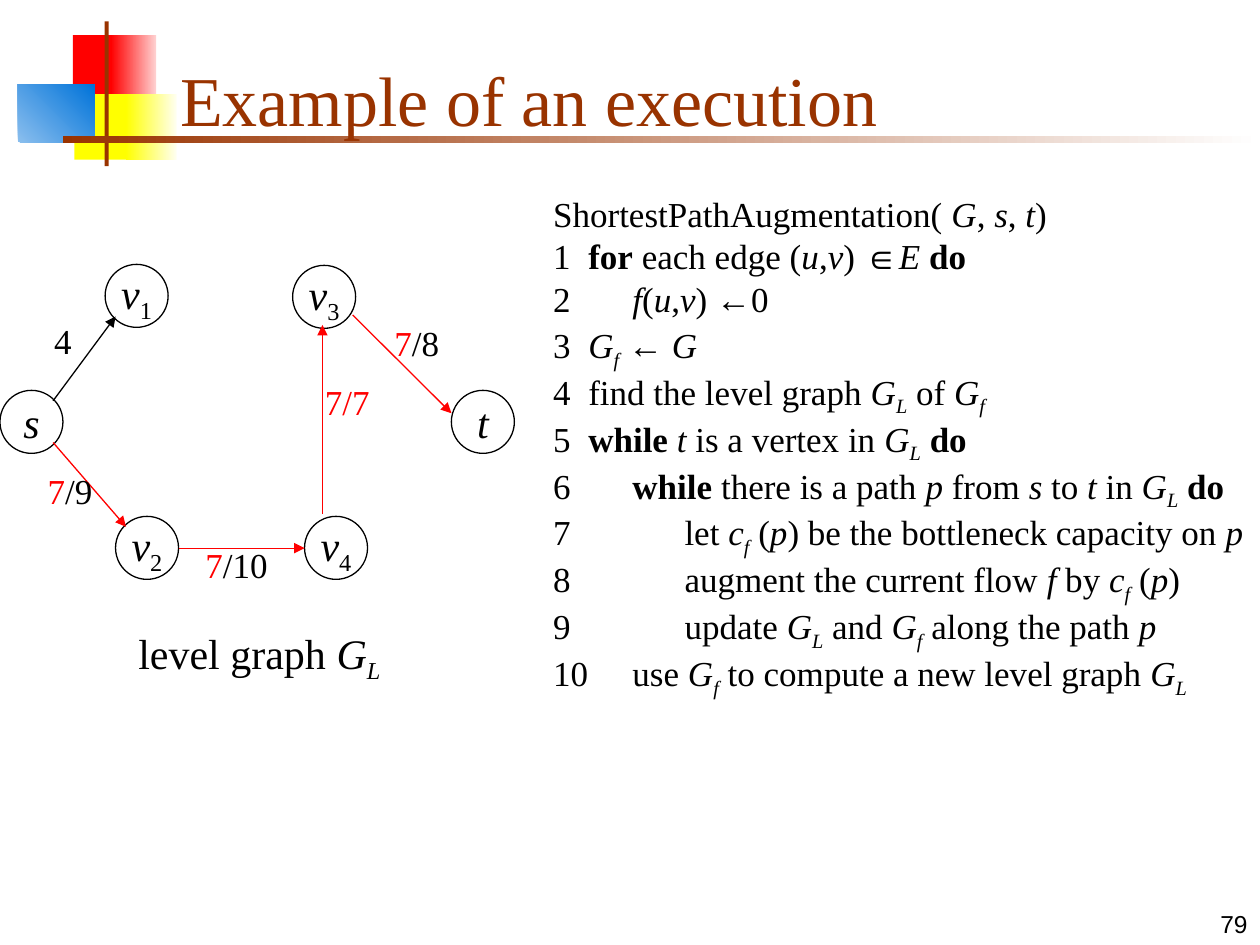
from lxml.etree import SubElement
from pptx import Presentation
from pptx.dml.color import RGBColor
from pptx.enum.shapes import MSO_CONNECTOR, MSO_SHAPE
from pptx.enum.text import MSO_ANCHOR, MSO_AUTO_SIZE, PP_ALIGN
from pptx.oxml.ns import qn
from pptx.util import Cm, Pt

BLACK = RGBColor(0x00, 0x00, 0x00)
WHITE = RGBColor(0xFF, 0xFF, 0xFF)
RED = RGBColor(0xFF, 0x00, 0x00)
PINK = RGBColor(0xFF, 0xD1, 0xD1)
YELLOW = RGBColor(0xFF, 0xFF, 0x00)
CREAM = RGBColor(0xFF, 0xFF, 0xF0)
SKY = RGBColor(0x8B, 0xBF, 0xEE)
BLUE = RGBColor(0x00, 0x73, 0xD9)
BROWN = RGBColor(0x99, 0x33, 0x00)
SERIF, SANS = "Times New Roman", "Arial"

TITLE = "Example of an execution"
PAGE = "79"

DECORATION = [
    ((1.47, 0.71, 0.89, 1.32), (RED,), 0),
    ((2.24, 0.71, 0.91, 1.32), (RED, PINK), 0),
    ((1.5, 1.9, 1.17, 1.32), (YELLOW,), 0),
    ((2.54, 1.9, 1.02, 1.32), (YELLOW, CREAM), 0),
    ((0.36, 1.7, 1.55, 1.17), (SKY, BLUE), 45),
    ((2.11, 0.43, 0.08, 2.92), (BROWN,), 0),
    ((1.27, 2.75, 24.13, 0.13), (BROWN, WHITE), 0),
]

NODE_SIZE = 1.27
NODES = [
    ("s", "", 0, 7.87),
    ("v", "1", 2.12, 5.33),
    ("v", "2", 2.33, 10.41),
    ("v", "3", 5.9, 5.35),
    ("v", "4", 6.14, 10.41),
    ("t", "", 9.1, 7.87),
]
EDGES = [
    ((1.07, 8.08), (2.33, 6.38), BLACK),
    ((1.07, 8.92), (2.54, 10.62), RED),
    ((3.61, 11.05), (6.14, 11.05), RED),
    ((6.5, 10.36), (6.5, 6.55), RED),
    ((7.11, 6.35), (9.1, 8.33), RED),
]
EDGE_LABELS = [
    ((0.84, 6.32, 1.35), "", "4"),
    ((0.71, 9.34, 1.6), "7", "/9"),
    ((3.89, 10.84, 1.9), "7", "/10"),
    ((6.3, 7.54, 1.6), "7/7", ""),
    ((7.7, 6.35, 1.6), "7", "/8"),
]

G, L, F_SUB = ("G", "i"), ("L", "is"), ("f", "is")
C, F, P, S, T, U, V = [(x, "i") for x in "cfpstuv"]
DO = ("do", "b")
CAPTION = ["level graph ", G, L]

INDENTS = [0.71, 1.6, 2.65]
HEADER = ["ShortestPathAugmentation( ", G, ", ", S, ", ", T, ")"]
STEPS = [
    (0, [("for", "b"), " each edge (", U, ",", V, ") ∈", ("E ", "i"), DO]),
    (1, [F, "(", U, ",", V, ") ←0"]),
    (0, [G, F_SUB, " ← ", G]),
    (0, ["find the level graph ", G, L, " of ", G, F_SUB]),
    (0, [("while ", "b"), T, " is a vertex in ", G, L, " ", DO]),
    (1, [("while", "b"), " there is a path ", P, " from ", S, " to ", T,
         " in ", G, L, " ", DO]),
    (2, ["let ", C, F_SUB, " (", P, ") be the bottleneck capacity on ", P]),
    (2, ["augment the current flow ", F, " by ", C, F_SUB, " (", P, ")"]),
    (2, ["update ", G, L, " and ", G, F_SUB, " along the path ", P]),
    (1, ["use ", G, F_SUB, " to compute a new level graph ", G, L]),
]


def add_run(p, text, size, style="", color=BLACK, font=SERIF):
    r = p.add_run()
    r.text = text
    r.font.color.rgb = color
    values = {"name": font, "size": Pt(size), "italic": "i" in style, "bold": "b" in style}
    for key, value in values.items():
        setattr(r.font, key, value)
    if "s" in style:
        r.font._element.set("baseline", "-25000")


def add_runs(p, runs, size):
    for run in runs:
        text, style = (run, "") if isinstance(run, str) else run
        add_run(p, text, size, style)


def add_shape(s, kind, box):
    sp = s.shapes.add_shape(kind, *map(Cm, box))
    sp.shadow.inherit = False
    return sp


def add_text(s, box, anchor=MSO_ANCHOR.TOP):
    tf = s.shapes.add_textbox(*map(Cm, box)).text_frame
    tf.word_wrap = True
    tf.vertical_anchor = anchor
    return tf


def add_decoration(s):
    for box, colors, angle in DECORATION:
        sp = add_shape(s, MSO_SHAPE.RECTANGLE, box)
        sp.line.fill.background()
        if len(colors) == 1:
            sp.fill.solid()
            sp.fill.fore_color.rgb = colors[0]
            continue
        sp.fill.gradient()
        sp.fill.gradient_angle = angle
        for stop, color, position in zip(sp.fill.gradient_stops, colors, (0, 1)):
            stop.color.rgb = color
            stop.position = position


def add_title(s):
    title = s.shapes.title
    title.element.getparent().append(title.element)
    box = {"left": 3.38, "top": 0.62, "width": 21.64, "height": 2.34}
    for key, value in box.items():
        setattr(title, key, Cm(value))
    tf = title.text_frame
    tf.auto_size = MSO_AUTO_SIZE.NONE
    tf.vertical_anchor = MSO_ANCHOR.BOTTOM
    p = tf.paragraphs[0]
    p.alignment = PP_ALIGN.LEFT
    add_run(p, TITLE, 40, color=BROWN)


def add_graph(s):
    for name, index, x, y in NODES:
        sp = add_shape(s, MSO_SHAPE.OVAL, (x, y, NODE_SIZE, NODE_SIZE))
        sp.fill.background()
        sp.line.color.rgb = BLACK
        sp.line.width = Pt(0.75)
        tf = sp.text_frame
        tf.word_wrap = False
        tf.vertical_anchor = MSO_ANCHOR.MIDDLE
        p = tf.paragraphs[0]
        p.alignment = PP_ALIGN.CENTER
        add_run(p, name, 24, "i")
        if index:
            add_run(p, index, 24, "s")
    for start, end, color in EDGES:
        edge = s.shapes.add_connector(MSO_CONNECTOR.STRAIGHT, *map(Cm, start + end))
        edge.line.color.rgb = color
        edge.line.width = Pt(0.75)
        SubElement(edge.line._get_or_add_ln(), qn("a:tailEnd"), type="triangle")
        SubElement(edge._element.spPr, qn("a:effectLst"))
    for (x, y, width), flow, capacity in EDGE_LABELS:
        p = add_text(s, (x, y, width, 1.12)).paragraphs[0]
        for text, color in ((flow, RED), (capacity, BLACK)):
            if text:
                add_run(p, text, 20, color=color)
    p = add_text(s, (2.48, 12.52, 5.5, 1.42)).paragraphs[0]
    p.alignment = PP_ALIGN.CENTER
    add_runs(p, CAPTION, 24)


def add_algorithm(s):
    tf = add_text(s, (10.9, 3.92, 14.5, 9.6))
    tf.margin_right = 0
    p = tf.paragraphs[0]
    p.line_spacing = 0.8
    add_runs(p, HEADER, 20)
    for number, (level, runs) in enumerate(STEPS, 1):
        p = tf.add_paragraph()
        p.line_spacing = 0.8
        p.space_before = Pt(5)
        tabs = SubElement(p._p.get_or_add_pPr(), qn("a:tabLst"))
        SubElement(tabs, qn("a:tab"), pos=str(Cm(INDENTS[level])), algn="l")
        add_runs(p, [f"{number}\t"] + runs, 20)


def main():
    prs = Presentation()
    prs.slide_width, prs.slide_height = Cm(25.4), Cm(19.05)
    s = prs.slides.add_slide(prs.slide_layouts[5])
    add_decoration(s)
    add_title(s)
    add_graph(s)
    add_algorithm(s)
    p = add_text(s, (20.12, 17.78, 5.28, 1.27), MSO_ANCHOR.BOTTOM).paragraphs[0]
    p.alignment = PP_ALIGN.RIGHT
    add_run(p, PAGE, 14, font=SANS)
    prs.save("out.pptx")


if __name__ == "__main__":
    main()
